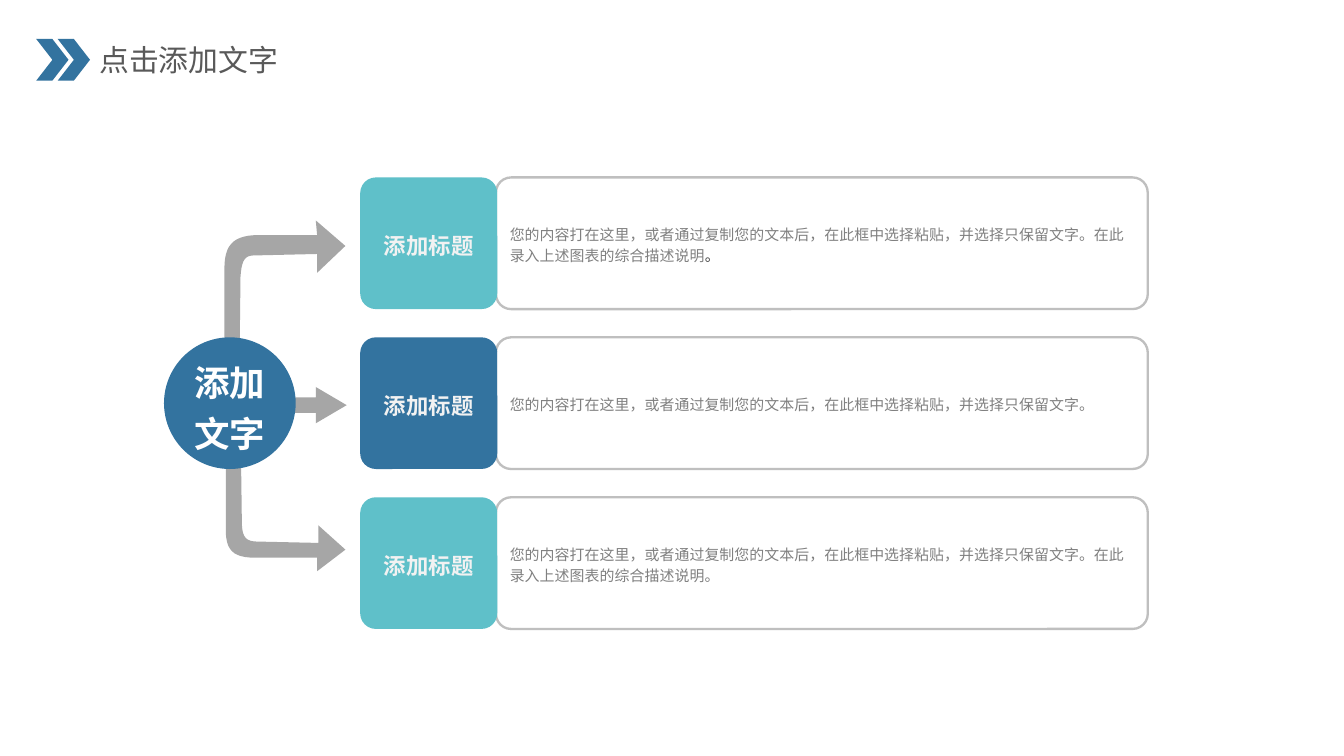
from dataclasses import dataclass

import pptx
import pptx.dml.color
import pptx.enum.shapes
import pptx.enum.text
import pptx.oxml.ns
import pptx.shapes.autoshape
import pptx.slide
import pptx.util
from lxml import etree

RGBColor = pptx.dml.color.RGBColor
Inches = pptx.util.Inches
Shape = pptx.shapes.autoshape.Shape
ShapeType = pptx.enum.shapes.MSO_SHAPE
Align = pptx.enum.text.PP_ALIGN
Anchor = pptx.enum.text.MSO_ANCHOR

BLUE = RGBColor(0x33, 0x73, 0x9F)
TEAL = RGBColor(0x5F, 0xC0, 0xC9)
WHITE = RGBColor(0xFF, 0xFF, 0xFF)
OFF_WHITE = RGBColor(0xF2, 0xF2, 0xF2)
ARROW_GRAY = RGBColor(0xA6, 0xA6, 0xA6)
BORDER_GRAY = RGBColor(0xBF, 0xBF, 0xBF)
BODY_GRAY = RGBColor(0x80, 0x80, 0x80)
TITLE_GRAY = RGBColor(0x59, 0x59, 0x59)
DARK_GRAY = RGBColor(0x40, 0x40, 0x40)

CHINESE_FONT = "Noto Sans CJK SC"
SLIDE_WIDTH = 10
SLIDE_HEIGHT = SLIDE_WIDTH * 9 / 16
ROW_TOP, ROW_PITCH, ROW_HEIGHT = 1.32, 1.19, 0.98
LABEL_LEFT, LABEL_WIDTH = 2.68, 1.02
BODY_LEFT, BODY_WIDTH = 3.69, 4.85
CURVE_STEPS = 12

Point = tuple[float, float]
# One point is a line; three points are a cubic curve.
Segment = tuple[Point, ...]


@dataclass
class Box:
    left: float
    top: float
    width: float
    height: float

    def lengths(self) -> list[pptx.util.Length]:
        return [Inches(n) for n in (self.left, self.top, self.width, self.height)]


@dataclass
class TextStyle:
    size: float
    color: RGBColor
    bold: bool = False
    align: Align = Align.CENTER
    font: str = CHINESE_FONT
    line_spacing: float | None = 1.2


@dataclass
class Row:
    color: RGBColor
    body: list[tuple[str, RGBColor]]


LABEL_STYLE = TextStyle(12, OFF_WHITE, bold=True)
BODY_STYLE = TextStyle(8, BODY_GRAY, align=Align.LEFT)
HUB_STYLE = TextStyle(19, WHITE, bold=True, font="Arial")
TITLE_STYLE = TextStyle(16, TITLE_GRAY, align=Align.LEFT, line_spacing=None)

SHORT_BODY = "您的内容打在这里，或者通过复制您的文本后，在此框中选择粘贴，并选择只保留文字。"
LONG_BODY = SHORT_BODY + "在此录入上述图表的综合描述说明"
ROWS = [
    Row(TEAL, [(LONG_BODY, BODY_GRAY), ("。", DARK_GRAY)]),
    Row(BLUE, [(SHORT_BODY, BODY_GRAY)]),
    Row(TEAL, [(LONG_BODY + "。", BODY_GRAY)]),
]

DOWN_ARROW: list[Segment] = [
    ((1.79, 3.15),), ((1.8, 3.89),),
    ((1.8, 4.02), (1.85, 4.03), (1.93, 4.03)),
    ((2.37, 4.04),), ((2.37, 3.91),), ((2.57, 4.09),), ((2.36, 4.25),), ((2.36, 4.15),),
    ((2.36, 4.15), (2.07, 4.15), (1.9, 4.15)),
    ((1.73, 4.15), (1.68, 4.09), (1.68, 3.94)),
    ((1.68, 3.13),),
    ((1.69, 3), (1.76, 3.02), (1.79, 3.15)),
]
UP_ARROW: list[Segment] = [
    ((1.78, 2.92),), ((1.79, 2.06),),
    ((1.8, 1.9), (1.84, 1.9), (1.92, 1.9)),
    ((2.36, 1.89),), ((2.36, 2.03),), ((2.57, 1.83),), ((2.35, 1.64),), ((2.36, 1.75),),
    ((2.36, 1.75), (2.06, 1.75), (1.89, 1.75)),
    ((1.73, 1.76), (1.67, 1.83), (1.67, 2)),
    ((1.67, 2.93),),
    ((1.69, 3.09), (1.76, 3.07), (1.78, 2.92)),
]


def paint(shape: Shape, fill: RGBColor | None, line: RGBColor | None = None) -> None:
    shape.shadow.inherit = False
    if fill is None:
        shape.fill.background()
    else:
        shape.fill.solid()
        shape.fill.fore_color.rgb = fill
    if line is None:
        shape.line.fill.background()
    else:
        shape.line.color.rgb = line
        shape.line.width = pptx.util.Pt(1.25)


def add_shape(slide: pptx.slide.Slide, kind: ShapeType, box: Box, fill: RGBColor | None,
              line: RGBColor | None = None, adjustments: tuple[float, ...] = ()) -> Shape:
    shape = slide.shapes.add_shape(kind, *box.lengths())
    for index, value in enumerate(adjustments):
        shape.adjustments[index] = value
    paint(shape, fill, line)
    return shape


def write(shape: Shape, runs: list[tuple[str, RGBColor]], style: TextStyle,
          vertical_inset: float = 0.03, anchor: Anchor = Anchor.MIDDLE) -> None:
    frame = shape.text_frame
    frame.word_wrap = True
    frame.vertical_anchor = anchor
    frame.margin_left = frame.margin_right = Inches(0.07)
    frame.margin_top = frame.margin_bottom = Inches(vertical_inset)
    paragraph = frame.paragraphs[0]
    paragraph.alignment = style.align
    paragraph.line_spacing = style.line_spacing
    font = paragraph.font
    font.size = pptx.util.Pt(style.size)
    font.bold = style.bold
    font.color.rgb = style.color
    font.name = style.font
    defaults = paragraph._p.pPr.find(pptx.oxml.ns.qn("a:defRPr"))
    etree.SubElement(defaults, pptx.oxml.ns.qn("a:ea"), typeface=style.font)
    for text, color in runs:
        run = paragraph.add_run()
        run.text = text
        if color != style.color:
            run.font.color.rgb = color


def flatten(segments: list[Segment]) -> list[Point]:
    """Turn lines and cubic curves into a list of corner points."""
    points: list[Point] = []
    for segment in segments:
        if len(segment) == 1:
            points.append(segment[0])
            continue
        controls = (points[-1], *segment)
        for step in range(1, CURVE_STEPS + 1):
            t = step / CURVE_STEPS
            weights = ((1 - t) ** 3, 3 * t * (1 - t) ** 2, 3 * t * t * (1 - t), t ** 3)
            x, y = (sum(w * c[axis] for w, c in zip(weights, controls)) for axis in (0, 1))
            points.append((x, y))
    return points


def add_bent_arrow(slide: pptx.slide.Slide, segments: list[Segment]) -> None:
    start, *rest = [(Inches(x), Inches(y)) for x, y in flatten(segments)]
    builder = slide.shapes.build_freeform(*start)
    builder.add_line_segments(rest, close=True)
    paint(builder.convert_to_shape(), ARROW_GRAY)


def add_row(slide: pptx.slide.Slide, index: int, row: Row) -> None:
    top = ROW_TOP + index * ROW_PITCH
    body = add_shape(slide, ShapeType.ROUNDED_RECTANGLE,
                     Box(BODY_LEFT, top, BODY_WIDTH, ROW_HEIGHT), None, BORDER_GRAY, (0.115,))
    write(body, row.body, BODY_STYLE)
    label = add_shape(slide, ShapeType.ROUNDED_RECTANGLE,
                      Box(LABEL_LEFT, top, LABEL_WIDTH, ROW_HEIGHT), row.color, None, (0.119,))
    write(label, [("添加标题", OFF_WHITE)], LABEL_STYLE)


def main() -> None:
    presentation = pptx.Presentation()
    presentation.slide_width = Inches(SLIDE_WIDTH)
    presentation.slide_height = Inches(SLIDE_HEIGHT)
    slide = presentation.slides.add_slide(presentation.slide_layouts[6])

    add_bent_arrow(slide, DOWN_ARROW)
    add_shape(slide, ShapeType.RIGHT_ARROW, Box(1.51, 2.88, 1.07, 0.27), ARROW_GRAY,
              adjustments=(0.42, 0.85))
    add_bent_arrow(slide, UP_ARROW)
    for index, row in enumerate(ROWS):
        add_row(slide, index, row)
    hub = add_shape(slide, ShapeType.OVAL,
                    Box(1.22, ROW_TOP + ROW_PITCH, ROW_HEIGHT, ROW_HEIGHT), BLUE)
    write(hub, [("添加文字", WHITE)], HUB_STYLE)

    title = slide.shapes.add_textbox(*Box(0.67, 0.27, 1.96, 0.34).lengths())
    write(title, [("点击添加文字", TITLE_GRAY)], TITLE_STYLE, 0.04, Anchor.TOP)
    for left in (0.27, 0.43):
        add_shape(slide, ShapeType.CHEVRON, Box(left, 0.29, 0.24, 0.31), BLUE)
    presentation.save("out.pptx")


if __name__ == "__main__":
    main()
